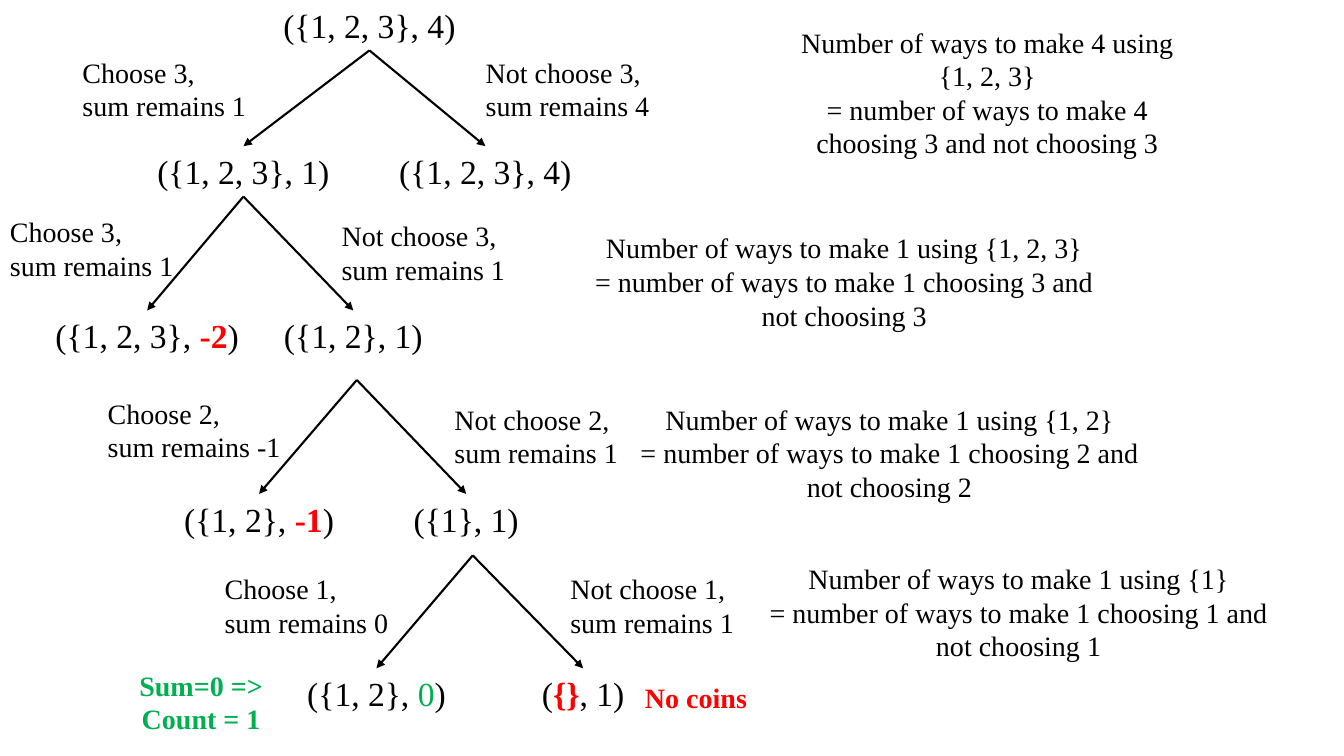
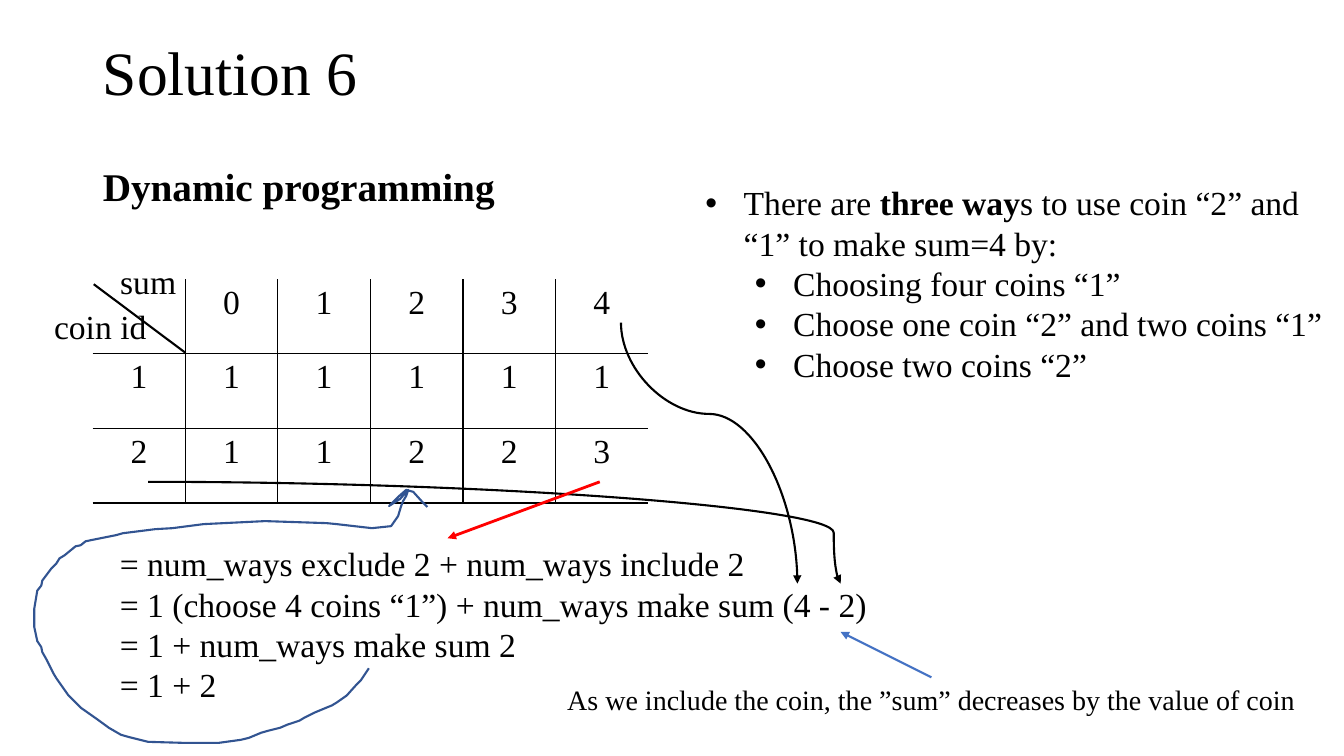
"""Builds two slides on counting coin combinations: a decision tree and a table."""
from dataclasses import dataclass
from typing import Optional

from lxml import etree
from pptx import Presentation
from pptx.dml.color import RGBColor
from pptx.enum.shapes import MSO_CONNECTOR
from pptx.enum.text import MSO_ANCHOR, MSO_AUTO_SIZE, PP_ALIGN
from pptx.oxml.ns import qn
from pptx.util import Inches, Pt

STRAIGHT, CURVE = MSO_CONNECTOR.STRAIGHT, MSO_CONNECTOR.CURVE
LEFT, CENTER = PP_ALIGN.LEFT, PP_ALIGN.CENTER
MIDDLE, TOP = MSO_ANCHOR.MIDDLE, MSO_ANCHOR.TOP
GROW, FIXED = MSO_AUTO_SIZE.SHAPE_TO_FIT_TEXT, MSO_AUTO_SIZE.NONE
TOP_SIDE, BOTTOM_SIDE = 0, 2
CELL = Inches(0.1)
COLUMNS, ROWS = 133.33, 75


@dataclass(frozen=True)
class Theme:
    """Font, colours and type sizes shared by the slides."""
    font: str = "Times New Roman"
    ink: str = "000000"
    red: str = "FF0000"
    green: str = "00B050"
    blue: str = "4472C4"
    pen: str = "325491"
    title: int = 44
    heading: int = 28
    text: int = 24
    note: int = 20
    line: float = 1.5


THEME = Theme()


@dataclass(frozen=True)
class Run:
    """A stretch of text with its own colour or weight."""
    text: str
    color: str = THEME.ink
    bold: bool = False


@dataclass(frozen=True)
class Node:
    """A tree state: centre column, width and runs."""
    center: float
    width: float
    runs: tuple


@dataclass(frozen=True)
class Level:
    """One decision of the tree, with its two outcomes and explanation."""
    coin: int
    coins: str
    total: int
    top: float
    children: tuple
    remains: tuple
    labels: tuple
    note: tuple
    fork: Optional[tuple] = None


ROOT = Node(36.65, 19.3, (Run("({1, 2, 3}, 4)"),))
LEVELS = (
    Level(3, "{1, 2, 3}", 4, 14.5,
          (Node(24.15, 19.3, (Run("({1, 2, 3}, 1)"),)),
           Node(48.15, 19.3, (Run("({1, 2, 3}, 4)"),))),
          (1, 4), ((7.2, 5, 18.3), (47.2, 5, 18.3)), (76.6, 2, 42.7, 14.5)),
    Level(3, "{1, 2, 3}", 1, 30.8,
          (Node(14.6, 20.4, (Run("({1, 2, 3}, "), Run("-2", THEME.red, True), Run(")"))),
           Node(35.05, 15.9, (Run("({1, 2}, 1)"),))),
          (1, 1), ((0, 20.8, 18.3), (32.9, 21.2, 18.3)), (57.9, 22.4, 51.7, 11.1)),
    Level(2, "{1, 2}", 1, 49,
          (Node(25.7, 17, (Run("({1, 2}, "), Run("-1", THEME.red, True), Run(")"))),
           Node(46.25, 12.5, (Run("({1}, 1)"),))),
          (-1, 1), ((9.7, 38.8, 19.3), (44.1, 39.4, 18.3)), (62.4, 39.4, 51.7, 11.1),
          (35.4, 37.7)),
    Level(1, "{1}", 1, 66.3,
          (Node(37.35, 15.9, (Run("({1, 2}, "), Run("0", THEME.green), Run(")"))),
           Node(57.85, 10.3, (Run("("), Run("{}", THEME.red, True), Run(", 1)")))),
          (0, 1), ((21.3, 56.2, 18.3), (55.6, 56.2, 18.3)), (75.2, 55.2, 51.7, 11.1),
          (46.9, 55.1)),
)
WAYS = (("", "0", "1", "2", "3", "4"),
        ("1", "1", "1", "1", "1", "1"),
        ("2", "1", "1", "2", "2", "3"))
LOOP_UNIT = CELL / 10
LOOP = (
    (366, 663), (358, 675), (353, 680), (344, 690), (334, 697), (329, 700), (324, 702),
    (312, 707), (302, 712), (297, 715), (285, 719), (278, 722), (266, 725), (259, 727),
    (247, 732), (239, 734), (217, 737), (182, 737), (147, 736), (127, 731), (120, 729),
    (108, 722), (97, 714), (80, 702), (68, 690), (56, 673), (53, 668), (46, 654),
    (42, 647), (41, 642), (37, 636), (34, 622), (34, 604), (37, 586), (41, 581),
    (42, 576), (51, 564), (56, 559), (59, 554), (64, 551), (75, 542), (80, 541),
    (85, 537), (90, 536), (115, 531), (122, 529), (154, 525), (171, 524), (202, 520),
    (263, 517), (324, 519), (334, 520), (369, 524), (388, 522), (395, 512), (398, 502),
    (400, 497), (403, 492), (405, 486), (397, 495), (386, 502), (395, 493), (403, 486),
    (410, 488), (419, 498), (424, 503))


def cells(*lengths):
    """Turns grid cells into lengths."""
    return [round(length * CELL) for length in lengths]


def write(paragraph, runs, size, alignment=LEFT):
    """Adds runs to a paragraph."""
    paragraph.alignment = alignment
    for part in runs:
        run = paragraph.add_run()
        run.text = part.text
        run.font.name, run.font.size = THEME.font, Pt(size)
        run.font.bold = part.bold
        run.font.color.rgb = RGBColor.from_string(part.color)


def set_bullet(paragraph, level):
    """Gives a paragraph a hanging round bullet."""
    paragraph.level = level
    properties = paragraph._p.get_or_add_pPr()
    properties.set("marL", str(Inches(0.87 if level else 0.38)))
    properties.set("indent", str(Inches(-0.38)))
    etree.SubElement(properties, qn("a:buFont"), typeface="Arial")
    etree.SubElement(properties, qn("a:buChar"), char="•")


def add_text(slide, place, paragraphs, size, alignment=LEFT, wrap=False, levels=()):
    """Adds a text box of paragraphs, bulleted where levels are given."""
    box = slide.shapes.add_textbox(*cells(*place))
    frame = box.text_frame
    frame.word_wrap, frame.auto_size = wrap, GROW
    for index, runs in enumerate(paragraphs):
        paragraph = frame.add_paragraph() if index else frame.paragraphs[0]
        if levels:
            set_bullet(paragraph, levels[index])
        write(paragraph, runs, size, alignment)
    return box


def fill_placeholder(placeholder, place, text, size, anchor, bold=False):
    """Moves a template placeholder and writes one plain line in it."""
    (placeholder.left, placeholder.top,
     placeholder.width, placeholder.height) = cells(*place)
    frame = placeholder.text_frame
    frame.auto_size, frame.vertical_anchor = FIXED, anchor
    paragraph = frame.paragraphs[0]
    paragraph.line_spacing, paragraph.space_before = 0.9, Pt(0)
    properties = paragraph._p.get_or_add_pPr()
    properties.set("marL", "0")
    properties.set("indent", "0")
    etree.SubElement(properties, qn("a:buNone"))
    write(paragraph, [Run(text, bold=bold)], size)


def add_line(slide, begin, end, color=THEME.ink, width=THEME.line, head=True, kind=STRAIGHT):
    """Adds a connector, with an arrowhead at its end unless told otherwise."""
    connector = slide.shapes.add_connector(kind, *cells(*begin, *end))
    connector.line.color.rgb = RGBColor.from_string(color)
    connector.line.width = Pt(width)
    properties = connector.element.spPr
    if head:
        etree.SubElement(properties.find(qn("a:ln")), qn("a:tailEnd"), type="triangle")
    etree.SubElement(properties, qn("a:effectLst"))
    return connector


def add_curve(slide, begin, end, bend, upright=False):
    """Adds a curved arrow bending at a share of its run, leaving downwards if upright."""
    if upright:
        middle = [(first + last) / 2 for first, last in zip(begin, end)]
        half_width, half_height = (end[1] - begin[1]) / 2, (end[0] - begin[0]) / 2
        begin = (middle[0] + half_width, middle[1] - half_height)
        end = (middle[0] - half_width, middle[1] + half_height)
    properties = add_line(slide, begin, end, kind=CURVE).element.spPr
    if upright:
        properties.find(qn("a:xfrm")).set("rot", str(270 * 60000))
    adjustments = properties.find(qn("a:prstGeom")).find(qn("a:avLst"))
    etree.SubElement(adjustments, qn("a:gd"), name="adj1", fmla=f"val {round(bend * 100000)}")


def add_node(slide, node, top):
    """Adds the text box of one tree state."""
    place = (node.center - node.width / 2, top, node.width, 5)
    return add_text(slide, place, [node.runs], THEME.text, CENTER)


def add_level(slide, level, parent):
    """Adds a decision below its parent and returns the boxes of its outcomes."""
    boxes = []
    verbs = ("Choose", "Not choose")
    for node, verb, remains, label in zip(level.children, verbs, level.remains, level.labels):
        box = add_node(slide, node, level.top)
        arrow = add_line(slide, level.fork or (0, 0), (node.center, level.top))
        if not level.fork:
            arrow.begin_connect(parent, BOTTOM_SIDE)
        arrow.end_connect(box, TOP_SIDE)
        lines = ([Run(f"{verb} {level.coin},")], [Run(f"sum remains {remains}")])
        add_text(slide, (*label, 7.7), lines, THEME.note)
        boxes.append(box)
    lines = ([Run(f"Number of ways to make {level.total} using {level.coins}")],
             [Run(f"= number of ways to make {level.total} choosing {level.coin} "
                  f"and not choosing {level.coin}")])
    add_text(slide, level.note, lines, THEME.note, CENTER, wrap=True)
    return boxes


def set_borders(cell, shown):
    """Draws the chosen sides of a table cell and hides the rest."""
    properties = cell._tc.get_or_add_tcPr()
    for side in "LRTB":
        border = etree.SubElement(properties, qn(f"a:ln{side}"), w=str(Pt(1)))
        if side in shown:
            fill = etree.SubElement(border, qn("a:solidFill"))
            etree.SubElement(fill, qn("a:srgbClr"), val=THEME.ink)
        else:
            etree.SubElement(border, qn("a:noFill"))


def add_ways_table(slide, place):
    """Adds the table of ways per coin and sum, open at the top and sides."""
    last = len(WAYS[0]) - 1
    table = slide.shapes.add_table(len(WAYS), last + 1, *cells(*place)).table
    table.first_row = table.horz_banding = False
    for row, values in enumerate(WAYS):
        for column, value in enumerate(values):
            cell = table.cell(row, column)
            sides = "B" + "T" * (row > 0) + "L" * (column > 0) + "R" * (column < last)
            set_borders(cell, sides)
            cell.fill.background()
            if value:
                write(cell.text_frame.paragraphs[0], [Run(value)], THEME.text, CENTER)


def add_loop(slide):
    """Adds the hand-drawn loop from the last sum to the table."""
    builder = slide.shapes.build_freeform(*LOOP[0], scale=LOOP_UNIT)
    builder.add_line_segments(LOOP[1:], close=False)
    loop = builder.convert_to_shape()
    loop.shadow.inherit = False
    loop.fill.background()
    loop.line.color.rgb = RGBColor.from_string(THEME.pen)
    loop.line.width = Pt(THEME.line)


def build_tree_slide(presentation):
    """Builds the decision tree."""
    slide = presentation.slides.add_slide(presentation.slide_layouts[6])
    parent = add_node(slide, ROOT, 0)
    for index, level in enumerate(LEVELS):
        boxes = add_level(slide, level, parent)
        parent = boxes[0] if index == 0 else boxes[1]
    add_text(slide, (63, 67, 12.2, 4.4), [[Run("No coins", THEME.red, True)]], THEME.note)
    add_text(slide, (12, 65.8, 15.9, 7.7), [[Run("Sum=0 => Count = 1", THEME.green, True)]],
             THEME.note, CENTER, wrap=True)


def build_table_slide(presentation):
    """Builds the dynamic programming table and its reading."""
    slide = presentation.slides.add_slide(presentation.slide_layouts[1])
    fill_placeholder(slide.shapes.title, (9.2, 0.2, 115, 14.5), "Solution 6",
                     THEME.title, MIDDLE)
    fill_placeholder(slide.placeholders[1], (9.2, 16.1, 115, 51.4), "Dynamic programming",
                     THEME.heading, TOP, bold=True)
    ways = ([Run("There are "), Run("three way", bold=True),
             Run("s to use coin “2” and “1” to make sum=4 by:")],
            [Run("Choosing four coins “1”")],
            [Run("Choose one coin “2” and two coins “1”")],
            [Run("Choose two coins “2”")])
    add_text(slide, (69, 17.6, 64.4, 21.2), ways, THEME.text, wrap=True, levels=(0, 1, 1, 1))
    add_ways_table(slide, (9.2, 27.7, 55.1, 22.2))
    add_text(slide, (4.3, 29.9, 11.3, 5), [[Run("coin id")]], THEME.text, CENTER)
    add_text(slide, (10.9, 25.4, 7.6, 5), [[Run("sum")]], THEME.text, CENTER)
    add_line(slide, (18.4, 35), (9.3, 28.2), head=False)
    steps = ("= num_ways exclude 2 + num_ways include 2",
             "= 1 (choose 4 coins “1”) + num_ways make sum (4 - 2)",
             "= 1 + num_ways make sum 2",
             "= 1 + 2")
    add_text(slide, (10.9, 53.4, 81.5, 17.2), [[Run(step)] for step in steps],
             THEME.text, wrap=True)
    add_curve(slide, (61.6, 32), (79.1, 57.9), 0.35, upright=True)
    add_curve(slide, (14.7, 47.8), (83.4, 57.9), 0.99)
    add_line(slide, (59.5, 47.8), (44.4, 53.4), THEME.red, 2)
    remark = "As we include the coin, the ”sum” decreases by the value of coin"
    add_text(slide, (55, 67.2, 74.8, 4.4), [[Run(remark)]], THEME.note, CENTER)
    add_line(slide, (92.4, 67.2), (83.4, 62.7), THEME.blue)
    add_loop(slide)


def main():
    """Builds and saves the presentation."""
    presentation = Presentation()
    presentation.slide_width, presentation.slide_height = cells(COLUMNS, ROWS)
    build_tree_slide(presentation)
    build_table_slide(presentation)
    presentation.save("out.pptx")


if __name__ == "__main__":
    main()
